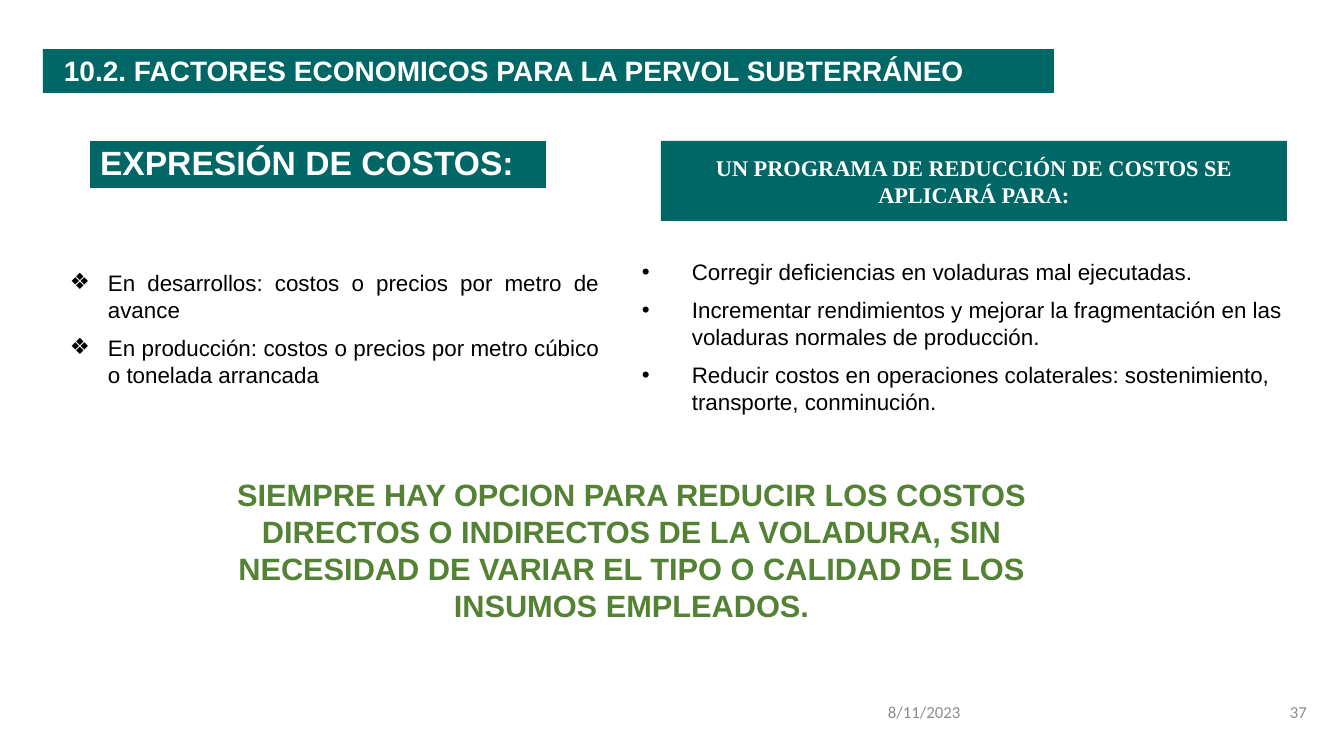
from lxml import etree
from pptx import Presentation
from pptx.dml.color import RGBColor
from pptx.enum.shapes import MSO_SHAPE as Preset
from pptx.enum.text import MSO_ANCHOR as Anchor, MSO_AUTO_SIZE as AutoSize, PP_ALIGN as Align
from pptx.oxml.ns import qn
from pptx.util import Emu, Pt

EMU_PER_PX = 914400 / 100.8
TEAL, WHITE, BLACK, GREEN, GREY = "006666", "FFFFFF", "000000", "548235", "8C8C8C"


def px(length):
    return Emu(round(length * EMU_PER_PX))


def color(hex_text):
    return RGBColor.from_string(hex_text)


def set_attributes(target, values):
    for name, value in values.items():
        setattr(target, name, value)


class SlideBuilder:
    font_name = "Arial"

    def __init__(self, presentation):
        self.slide = presentation.slides.add_slide(presentation.slide_layouts[5])

    def place(self, shape, box):
        set_attributes(shape, dict(zip(("left", "top", "width", "height"), map(px, box))))

    def fill(self, shape, hex_text, opacity=100):
        shape.fill.solid()
        shape.fill.fore_color.rgb = color(hex_text)
        if opacity < 100:
            rgb_element = shape._element.spPr.find(qn("a:solidFill"))[0]
            etree.SubElement(rgb_element, qn("a:alpha"), val=str(opacity * 1000))

    def add_lines(self, shape, lines, size, hex_text, bold=False, font_name=None,
                  align=Align.LEFT, anchor=Anchor.MIDDLE, line_spacing=1.0,
                  bullet=None, indent=0):
        frame = shape.text_frame
        set_attributes(frame, {"word_wrap": True, "auto_size": AutoSize.NONE,
                               "vertical_anchor": anchor})
        for index, line in enumerate(lines):
            paragraph = frame.paragraphs[0] if index == 0 else frame.add_paragraph()
            set_attributes(paragraph, {"alignment": align, "line_spacing": line_spacing})
            if index:
                paragraph.space_before = Pt(size / 2)
            if indent:
                self.indent(paragraph, indent, bullet)
            run = paragraph.add_run()
            run.text = line
            set_attributes(run.font, {"name": font_name or self.font_name,
                                      "size": Pt(size), "bold": bold})
            run.font.color.rgb = color(hex_text)

    def indent(self, paragraph, indent, bullet):
        """Indent a paragraph, hanging it behind the bullet if there is one."""
        properties = paragraph._p.get_or_add_pPr()
        properties.set("marL", str(px(indent)))
        if bullet:
            properties.set("indent", str(-px(indent)))
            etree.SubElement(properties, qn("a:buFont"), typeface=self.font_name)
            etree.SubElement(properties, qn("a:buChar"), char=bullet)

    def title(self, box, text, **style):
        shape = self.slide.shapes.title
        self.place(shape, box)
        self.fill(shape, TEAL)
        self.add_lines(shape, [text], **style)

    def panel(self, box, lines, fill=WHITE, opacity=100, **style):
        shape = self.slide.shapes.add_shape(Preset.RECTANGLE, *map(px, box))
        shape.shadow.inherit = False
        shape.line.fill.background()
        self.fill(shape, fill, opacity)
        self.add_lines(shape, lines, **style)

    def label(self, box, text, **style):
        shape = self.slide.shapes.add_textbox(*map(px, box))
        self.add_lines(shape, [text], **style)


def main():
    presentation = Presentation()
    set_attributes(presentation, {"slide_width": px(1344), "slide_height": px(756)})
    builder = SlideBuilder(presentation)

    heading = {"hex_text": WHITE, "bold": True}
    bullets = {"opacity": 60, "size": 16, "hex_text": BLACK, "anchor": Anchor.TOP}
    footer = {"size": 12, "hex_text": GREY, "font_name": "Calibri"}

    builder.panel((60, 264, 549, 132), [
        "En desarrollos: costos o precios por metro de avance",
        "En producción: costos o precios por metro cúbico o tonelada arrancada",
    ], bullet="❖", indent=38, align=Align.JUSTIFY, **bullets)
    builder.title((90, 141, 456, 47), "EXPRESIÓN DE COSTOS:",
                  size=24, line_spacing=0.9, **heading)
    builder.panel((175, 459, 913, 182), [
        "SIEMPRE HAY OPCION PARA REDUCIR LOS COSTOS DIRECTOS O INDIRECTOS DE LA VOLADURA, "
        "SIN NECESIDAD DE VARIAR EL TIPO O CALIDAD DE LOS INSUMOS EMPLEADOS.",
    ], opacity=60, size=22, hex_text=GREEN, bold=True, align=Align.CENTER)
    builder.label((878, 692, 361, 40), "8/11/2023", **footer)
    builder.label((1247, 692, 70, 40), "37", align=Align.RIGHT, **footer)
    builder.panel((632, 253, 688, 173), [
        "Corregir deficiencias en voladuras mal ejecutadas.",
        "Incrementar rendimientos y mejorar la fragmentación en las voladuras normales "
        "de producción.",
        "Reducir costos en operaciones colaterales: sostenimiento, transporte, conminución.",
    ], bullet="•", indent=50, **bullets)
    builder.panel((661, 141, 626, 80),
                  ["UN PROGRAMA DE REDUCCIÓN DE COSTOS SE APLICARÁ PARA:"], fill=TEAL,
                  size=16, font_name="Times New Roman", align=Align.CENTER, **heading)
    builder.panel((43, 49, 1011, 44),
                  ["10.2. FACTORES ECONOMICOS PARA LA PERVOL SUBTERRÁNEO"], fill=TEAL,
                  size=20, anchor=Anchor.TOP, indent=11, **heading)

    presentation.save("out.pptx")


if __name__ == "__main__":
    main()
